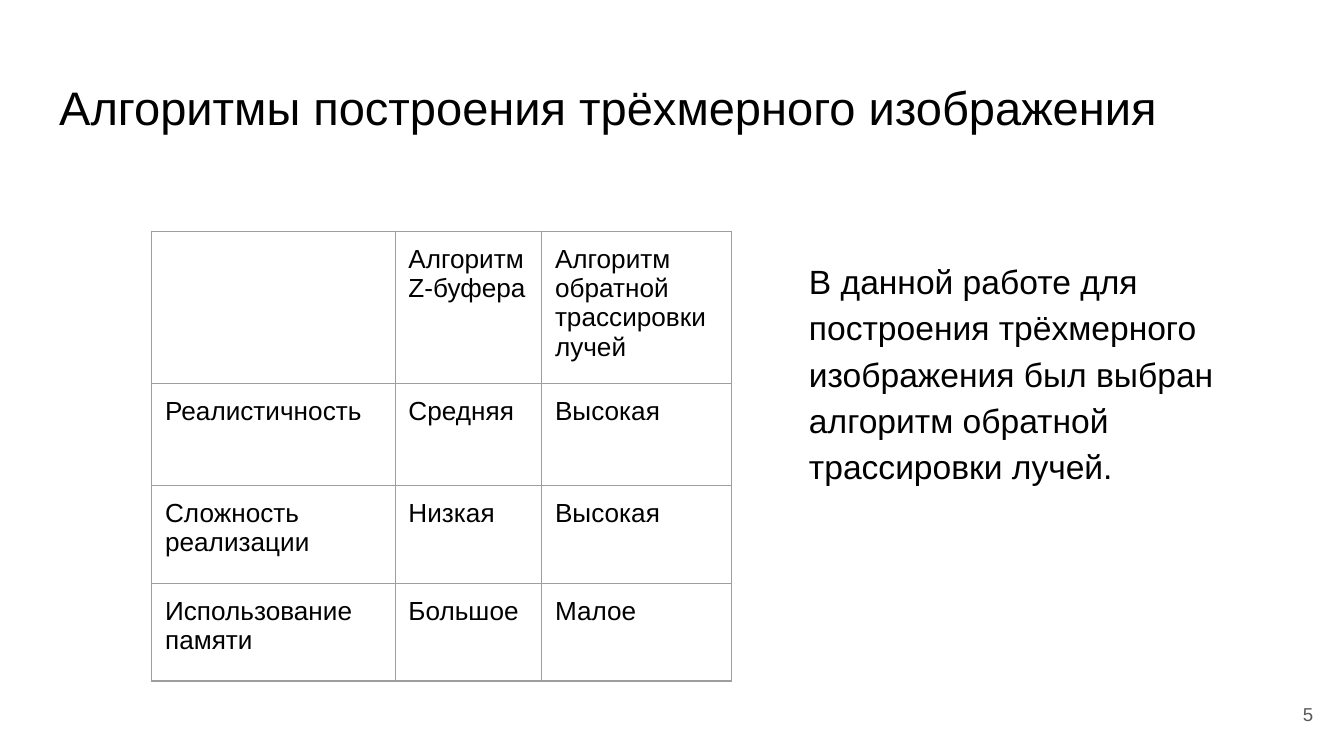
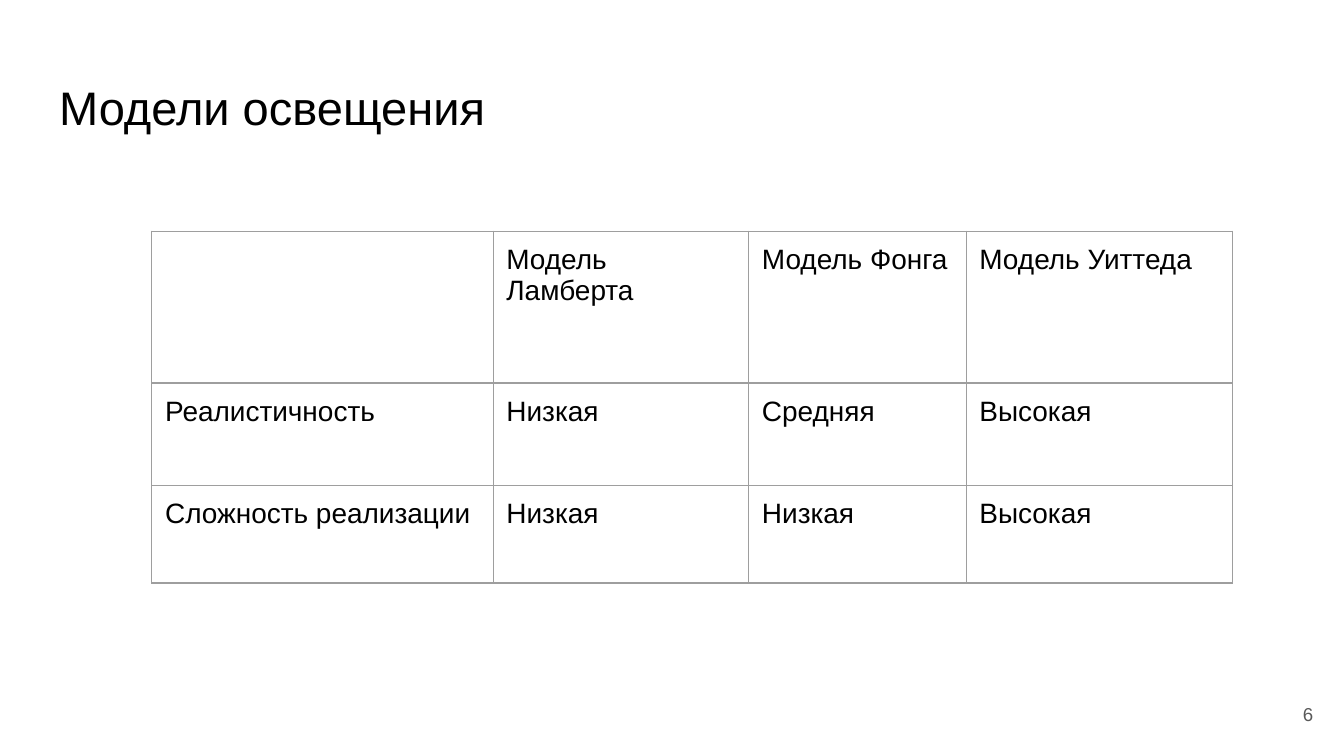
from dataclasses import dataclass

import pptx
import pptx.dml.color
import pptx.enum.text
import pptx.oxml
import pptx.oxml.ns
import pptx.util
from pptx.util import Cm, Pt

ALIGN = pptx.enum.text.PP_ALIGN
ANCHOR = pptx.enum.text.MSO_ANCHOR

SLIDES = [
    {
        "title": "Алгоритмы построения трёхмерного изображения",
        "number": "5",
        "table": {
            "size": 14,
            "columns": [4.6, 2.77, 3.58],
            "rows": [1.93, 1.93, 1.85, 1.85],
            "cells": [
                ["", "Алгоритм Z-буфера", "Алгоритм обратной трассировки лучей"],
                ["Реалистичность", "Средняя", "Высокая"],
                ["Сложность реализации", "Низкая", "Высокая"],
                ["Использование памяти", "Большое", "Малое"],
            ],
        },
        "conclusion": "В данной работе для построения трёхмерного изображения "
                      "был выбран алгоритм обратной трассировки лучей.",
    },
    {
        "title": "Модели освещения",
        "number": "6",
        "table": {
            "size": 15,
            "columns": [6.45, 4.83, 4.11, 5.03],
            "rows": [2.87, 1.93, 1.85],
            "cells": [
                ["", "Модель Ламберта", "Модель Фонга", "Модель Уиттеда"],
                ["Реалистичность", "Низкая", "Средняя", "Высокая"],
                ["Сложность реализации", "Низкая", "Низкая", "Высокая"],
            ],
        },
    },
]


@dataclass(frozen=True)
class Theme:
    font: str = "Arial"
    text: str = "000000"
    muted: str = "595959"
    border: str = "9E9E9E"
    border_width: float = 0.75
    title_size: float = 25.2
    body_size: float = 18
    number_size: float = 10
    inset: float = 0.25


THEME = Theme()
SLIDE_SIZE = (25.4, 14.29)
TITLE_BOX = (0.87, 1.24, 23.67, 1.6)
CONCLUSION_BOX = (15.04, 4.57, 9.12, 8.08)
NUMBER_BOX = (23.55, 12.95, 1.52, 1.09)
TABLE_CORNER = (2.87, 4.37)
MARGINS = {f"margin_{side}": Cm(THEME.inset) for side in ("left", "right", "top", "bottom")}


def apply_format(target, values):
    for name, value in values.items():
        setattr(target, name, value)


def write_text(text_frame, text, size, color=THEME.text, **paragraph_format):
    paragraph = text_frame.paragraphs[0]
    apply_format(paragraph, paragraph_format)
    run = paragraph.add_run()
    run.text = text
    apply_format(run.font, {"name": THEME.font, "size": Pt(size)})
    run.font.color.rgb = pptx.dml.color.RGBColor.from_string(color)


def add_text(slide, box, text, size, color=THEME.text, anchor=ANCHOR.TOP, **paragraph_format):
    text_frame = slide.shapes.add_textbox(*map(Cm, box)).text_frame
    apply_format(text_frame, {"word_wrap": True, "vertical_anchor": anchor, **MARGINS})
    write_text(text_frame, text, size, color, **paragraph_format)


def add_borders(cell):
    properties = cell._tc.get_or_add_tcPr()
    for index, side in enumerate("LRTB"):
        properties.insert(index, pptx.oxml.parse_xml(
            f'<a:ln{side} {pptx.oxml.ns.nsdecls("a")} w="{Pt(THEME.border_width)}">'
            f'<a:solidFill><a:srgbClr val="{THEME.border}"/></a:solidFill></a:ln{side}>'
        ))


def add_comparison(slide, content):
    columns, rows = content["columns"], content["rows"]
    box = (*TABLE_CORNER, sum(columns), sum(rows))
    table = slide.shapes.add_table(len(rows), len(columns), *map(Cm, box)).table
    apply_format(table, {"first_row": False, "horz_banding": False})
    for column, width in zip(table.columns, columns):
        column.width = Cm(width)
    for row, height, texts in zip(table.rows, rows, content["cells"]):
        row.height = Cm(height)
        for cell, text in zip(row.cells, texts):
            apply_format(cell, MARGINS)
            cell.fill.background()
            add_borders(cell)
            if text:
                write_text(cell.text_frame, text, content["size"])


def main():
    presentation = pptx.Presentation()
    width, height = map(Cm, SLIDE_SIZE)
    apply_format(presentation, {"slide_width": width, "slide_height": height})
    for content in SLIDES:
        slide = presentation.slides.add_slide(presentation.slide_layouts[6])
        add_text(slide, TITLE_BOX, content["title"], THEME.title_size)
        if "conclusion" in content:
            add_text(slide, CONCLUSION_BOX, content["conclusion"], THEME.body_size,
                     line_spacing=1.15, space_after=Pt(12))
        add_comparison(slide, content["table"])
        add_text(slide, NUMBER_BOX, content["number"], THEME.number_size, THEME.muted,
                 ANCHOR.MIDDLE, alignment=ALIGN.RIGHT)
    presentation.save("out.pptx")


if __name__ == "__main__":
    main()
